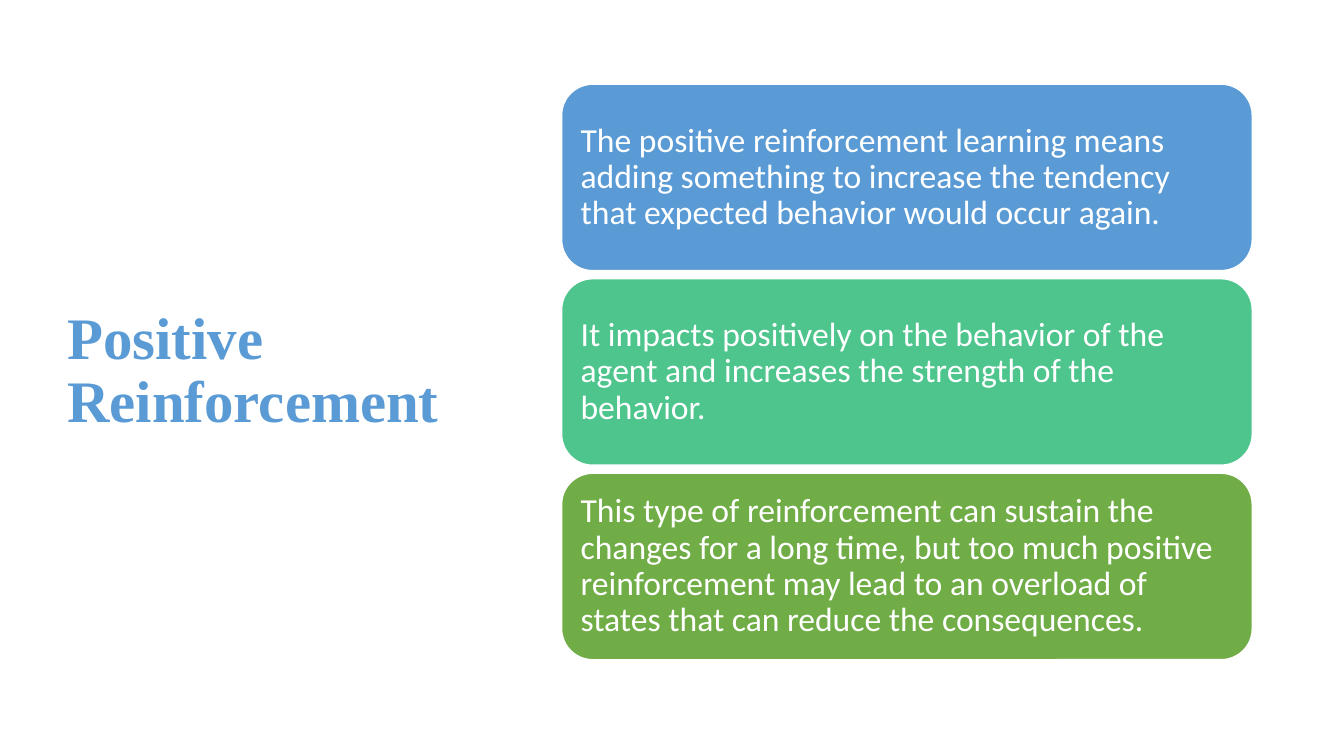
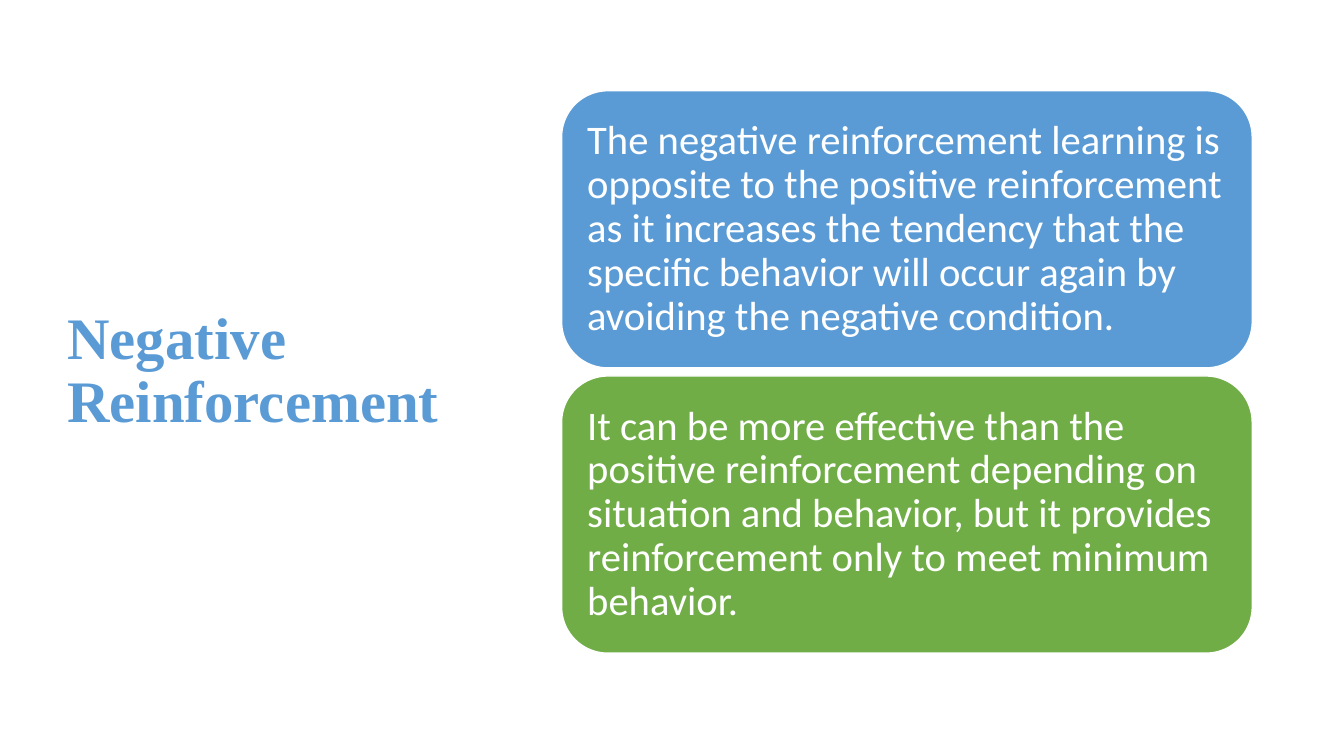
from dataclasses import dataclass

from pptx import Presentation
from pptx.dml.color import RGBColor
from pptx.enum import shapes, text
from pptx.util import Inches, Pt

# Shared look
BLUE = RGBColor(0x5B, 0x9B, 0xD5)
TEAL = RGBColor(0x4D, 0xC5, 0x8D)
GREEN = RGBColor(0x70, 0xAD, 0x47)
WHITE = RGBColor(0xFF, 0xFF, 0xFF)
TITLE_FONT = "Times New Roman"
BODY_FONT = "Calibri"

# Card column, in inches
CARD_LEFT, CARD_WIDTH = 5.57, 6.85
CARD_GAP = 0.08
COLUMN_MIDDLE = 3.69


@dataclass(frozen=True)
class Card:
    words: str
    color: RGBColor


@dataclass(frozen=True)
class Topic:
    title: str
    card_height: float
    text_size: int
    inset: float
    cards: tuple[Card, ...]


TOPICS = (
    Topic("Positive Reinforcement", 1.85, 24, 0.1, (
        Card("The positive reinforcement learning means adding something to "
             "increase the tendency that expected behavior would occur again.", BLUE),
        Card("It impacts positively on the behavior of the agent and increases "
             "the strength of the behavior.", TEAL),
        Card("This type of reinforcement can sustain the changes for a long time, "
             "but too much positive reinforcement may lead to an overload of "
             "states that can reduce the consequences.", GREEN),
    )),
    Topic("Negative Reinforcement", 2.75, 29, 0.12, (
        Card("The negative reinforcement learning is opposite to the positive "
             "reinforcement as it increases the tendency that the specific "
             "behavior will occur again by avoiding the negative condition.", BLUE),
        Card("It can be more effective than the positive reinforcement depending "
             "on situation and behavior, but it provides reinforcement only to "
             "meet minimum behavior.", GREEN),
    )),
)


def write(box, words: str, *, font: str, size: int, color: RGBColor,
          bold: bool = False, inset: float | None = None) -> None:
    """Fill a box with one left-aligned, vertically centred paragraph."""
    frame = box.text_frame
    frame.word_wrap = True
    frame.vertical_anchor = text.MSO_ANCHOR.MIDDLE
    if inset is not None:
        frame.margin_left = frame.margin_right = Inches(inset)
        frame.margin_top = frame.margin_bottom = Inches(inset)
    para = frame.paragraphs[0]
    para.alignment = text.PP_ALIGN.LEFT
    para.line_spacing = 0.9
    span = para.add_run()
    span.text = words
    span.font.name = font
    span.font.size = Pt(size)
    span.font.bold = bold
    span.font.color.rgb = color


def add_title(page, title: str) -> None:
    box = page.shapes.add_textbox(Inches(0.57), Inches(0.68), Inches(4.16), Inches(6.02))
    write(box, title, font=TITLE_FONT, size=42, color=BLUE, bold=True)


def add_card(page, card: Card, top: float, topic: Topic) -> None:
    box = page.shapes.add_shape(
        shapes.MSO_SHAPE.ROUNDED_RECTANGLE, Inches(CARD_LEFT), Inches(top),
        Inches(CARD_WIDTH), Inches(topic.card_height))
    box.shadow.inherit = False
    box.fill.solid()
    box.fill.fore_color.rgb = card.color
    box.line.color.rgb = WHITE
    box.line.width = Pt(1)
    write(box, card.words, font=BODY_FONT, size=topic.text_size,
          color=WHITE, inset=topic.inset)


def add_topic(deck, topic: Topic) -> None:
    page = deck.slides.add_slide(deck.slide_layouts[6])
    add_title(page, topic.title)
    # Stack the cards around the middle of the column
    pitch = topic.card_height + CARD_GAP
    first_top = COLUMN_MIDDLE - (len(topic.cards) * pitch - CARD_GAP) / 2
    for index, card in enumerate(topic.cards):
        add_card(page, card, first_top + index * pitch, topic)


def main() -> None:
    deck = Presentation()
    deck.slide_width, deck.slide_height = Inches(13.33), Inches(7.5)
    for topic in TOPICS:
        add_topic(deck, topic)
    deck.save("out.pptx")


if __name__ == "__main__":
    main()
